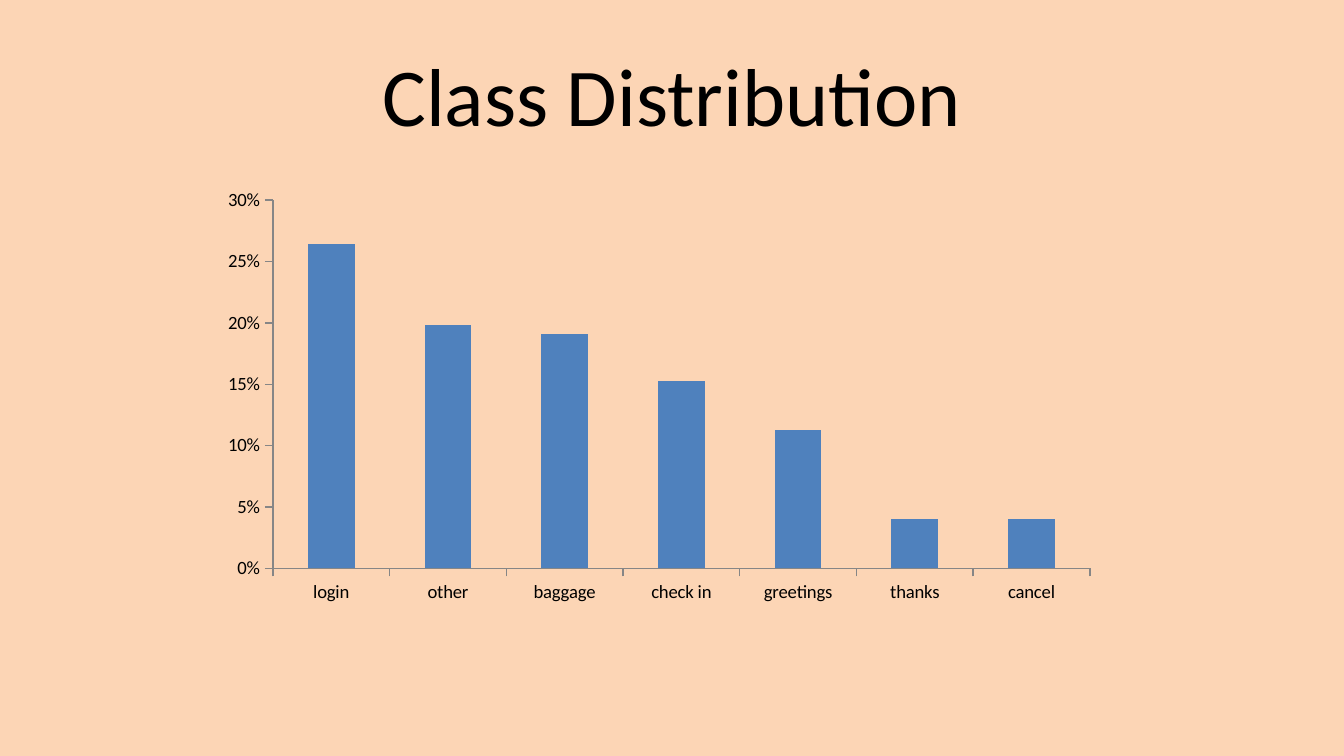
from lxml import etree
from pptx import Presentation
from pptx.chart.data import CategoryChartData
from pptx.dml.color import RGBColor
from pptx.enum.chart import XL_CHART_TYPE, XL_TICK_MARK
from pptx.enum.text import MSO_ANCHOR, PP_ALIGN
from pptx.oxml.ns import qn
from pptx.util import Inches, Pt

COLUMNS = XL_CHART_TYPE.COLUMN_CLUSTERED
TICK_OUTSIDE = XL_TICK_MARK.OUTSIDE
TICK_NONE = XL_TICK_MARK.NONE
MIDDLE = MSO_ANCHOR.MIDDLE
CENTER = PP_ALIGN.CENTER

COLORS = {"background": "FCD5B5", "text": "000000", "bar": "4F81BD", "axis": "868686"}
CHART_WIDTH, CHART_HEIGHT = 6.75, 3.19
SHARES = {
    "login": 0.264,
    "other": 0.198,
    "baggage": 0.191,
    "check in": 0.153,
    "greetings": 0.113,
    "thanks": 0.04,
    "cancel": 0.04,
}


class SlideBuilder:
    font_name = "Calibri"

    def __init__(self, page):
        self.page = page

    def color(self, name):
        return RGBColor.from_string(COLORS[name])

    def style_font(self, font, size):
        font.name = self.font_name
        font.size = Pt(size)
        font.color.rgb = self.color("text")

    def background(self):
        fill = self.page.background.fill
        fill.solid()
        fill.fore_color.rgb = self.color("background")

    def title(self, text, left, top, width, height):
        box = self.page.shapes.title
        box.left, box.top = Inches(left), Inches(top)
        box.width, box.height = Inches(width), Inches(height)
        frame = box.text_frame
        frame.vertical_anchor = MIDDLE
        para = frame.paragraphs[0]
        para.alignment = CENTER
        span = para.add_run()
        span.text = text
        self.style_font(span.font, 44)

    def column_chart(self, shares, left, top, width, height):
        data = CategoryChartData(number_format="0%")
        data.categories = list(shares)
        data.add_series("Series 1", list(shares.values()))
        chart = self.page.shapes.add_chart(
            COLUMNS, Inches(left), Inches(top), Inches(width), Inches(height), data
        ).chart
        chart.has_legend = False
        chart.has_title = False
        self.style_font(chart.font, 10)

        plot = chart.plots[0]
        plot.vary_by_categories = False
        plot.gap_width = 150
        fill = plot.series[0].format.fill
        fill.solid()
        fill.fore_color.rgb = self.color("bar")

        for axis in (chart.category_axis, chart.value_axis):
            axis.has_major_gridlines = False
            axis.major_tick_mark = TICK_OUTSIDE
            axis.minor_tick_mark = TICK_NONE
            axis.format.line.color.rgb = self.color("axis")
        value_axis = chart.value_axis
        value_axis.minimum_scale = 0
        value_axis.maximum_scale = 0.3
        value_axis.major_unit = 0.05
        value_axis.tick_labels.number_format = "0%"
        value_axis.tick_labels.number_format_is_linked = False
        return chart

    def plot_layout(self, chart, x, y, width, height):
        area = chart.element.find(".//" + qn("c:plotArea"))
        for old in area.findall(qn("c:layout")):
            area.remove(old)
        layout = etree.Element(qn("c:layout"))
        manual = etree.SubElement(layout, qn("c:manualLayout"))
        settings = {
            "layoutTarget": "inner", "xMode": "edge", "yMode": "edge",
            "x": x / CHART_WIDTH, "y": y / CHART_HEIGHT,
            "w": width / CHART_WIDTH, "h": height / CHART_HEIGHT,
        }
        for name, value in settings.items():
            etree.SubElement(manual, qn("c:" + name)).set("val", str(value))
        area.insert(0, layout)


def main():
    deck = Presentation()
    deck.slide_width = Inches(10)
    deck.slide_height = deck.slide_width * 9 // 16
    builder = SlideBuilder(deck.slides.add_slide(deck.slide_layouts[5]))
    builder.background()
    builder.title("Class Distribution", 0.5, 0.23, 9, 0.94)
    chart = builder.column_chart(SHARES, 1.58, 1.38, CHART_WIDTH, CHART_HEIGHT)
    builder.plot_layout(chart, 0.45, 0.11, 6.08, 2.74)
    deck.save("out.pptx")


if __name__ == "__main__":
    main()
